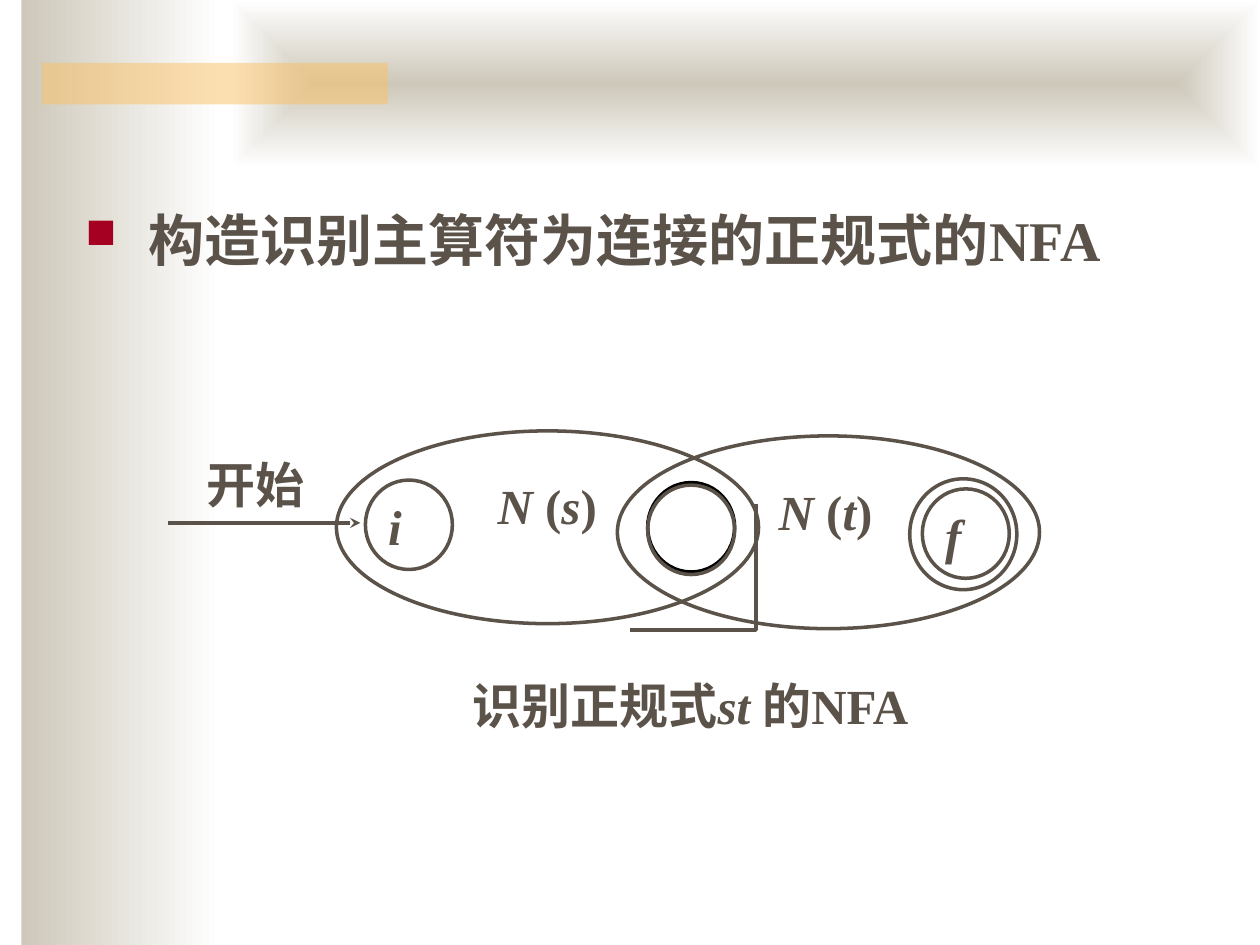
from dataclasses import dataclass

from lxml import etree
from pptx import Presentation
from pptx.dml.color import RGBColor
from pptx.enum.dml import MSO_FILL
from pptx.enum.shapes import MSO_CONNECTOR, MSO_SHAPE
from pptx.enum.text import MSO_ANCHOR, PP_ALIGN as AL
from pptx.oxml import parse_xml
from pptx.oxml.ns import nsdecls, qn
from pptx.util import Inches, Pt


@dataclass(frozen=True)
class Theme:
    ink: str = "5B5249"
    black: str = "000000"
    sand: str = "CEC8BA"
    white: str = "FFFFFF"
    accent: str = "FAC164"
    bullet: str = "A50021"
    latin: str = "Times New Roman"
    cjk: str = "Noto Sans CJK SC"
    title: int = 32
    label: int = 28
    line: float = 2


def rgb(value):
    return RGBColor.from_string(value)


def bezier(start, segments, steps=10):
    """Points along a chain of cubic curves."""
    points = [start]
    for c1, c2, end in segments:
        p0 = points[-1]
        for i in range(1, steps + 1):
            t = i / steps
            u = 1 - t
            points.append(tuple(
                u**3 * a + 3 * u * u * t * b + 3 * u * t * t * c + t**3 * d
                for a, b, c, d in zip(p0, c1, c2, end)))
    return points


class SlideBuilder:
    def __init__(self, slide, theme):
        self.s = slide
        self.th = theme

    def _outline(self, sp, color=None):
        sp.line.color.rgb = rgb(color or self.th.ink)
        sp.line.width = Pt(self.th.line)

    def _shape(self, kind, box):
        sp = self.s.shapes.add_shape(kind, *map(Inches, box))
        sp.shadow.inherit = False
        return sp

    def band(self, box, color=None, alpha=50, centred=False):
        """Borderless bar: see-through colour, or sand fading to white."""
        sp = self._shape(MSO_SHAPE.RECTANGLE, box)
        sp.line.fill.background()
        if color:
            sp.fill.solid()
            sp.fill.fore_color.rgb = rgb(color)
            clr = sp.fill._xPr.find(qn("a:solidFill"))[0]
            etree.SubElement(clr, qn("a:alpha"), val=str(alpha * 1000))
            return
        sp.fill.gradient()
        sp.fill.gradient_angle = 0
        stops = zip(sp.fill.gradient_stops, (self.th.sand, self.th.white))
        for pos, (stop, c) in enumerate(stops):
            stop.color.rgb, stop.position = rgb(c), pos
        if centred:
            lin = sp.fill._xPr.find(qn("a:gradFill")).find(qn("a:lin"))
            lin.getparent().replace(lin, parse_xml(
                f'<a:path {nsdecls("a")} path="rect"><a:fillToRect '
                'l="50000" t="50000" r="50000" b="50000"/></a:path>'))

    def _write(self, tf, runs, size, align, insets):
        tf.word_wrap = True
        tf.vertical_anchor = MSO_ANCHOR.TOP
        sides = ("left", "top", "right", "bottom")
        for side, inset in zip(sides, insets):
            setattr(tf, f"margin_{side}", Inches(inset))
        p = tf.paragraphs[0]
        p.alignment = align
        for text, italic in runs:
            r = p.add_run()
            r.text = text
            style = {"size": Pt(size), "bold": True, "italic": italic,
                     "name": self.th.latin}
            for key, value in style.items():
                setattr(r.font, key, value)
            r.font.color.rgb = rgb(self.th.ink)
            latin = r.font._element.find(qn("a:latin"))
            latin.addnext(parse_xml(
                f'<a:ea {nsdecls("a")} typeface="{self.th.cjk}"/>'))
        return p

    def text(self, box, runs, size=None, align=AL.LEFT,
             insets=(0.06, 0.03, 0.06, 0.03)):
        tb = self.s.shapes.add_textbox(*map(Inches, box))
        return self._write(tb.text_frame, runs, size or self.th.label,
                           align, insets)

    def bullet(self, box, runs):
        p = self.text(box, runs, self.th.title, insets=(0.1, 0.05, 0.1, 0.05))
        pPr = p._p.get_or_add_pPr()
        pPr.set("marL", str(Inches(0.5)))
        pPr.set("indent", str(-Inches(0.5)))
        for xml in (f'<a:buClr {{}}><a:srgbClr val="{self.th.bullet}"/></a:buClr>',
                    '<a:buSzPct {} val="75000"/>',
                    '<a:buChar {} char="■"/>'):
            pPr.append(parse_xml(xml.format(nsdecls("a"))))

    def ellipse(self, box, color=None, letter=None):
        sp = self._shape(MSO_SHAPE.OVAL, box)
        sp.fill.background()
        self._outline(sp, color)
        if letter:
            self._write(sp.text_frame, [(letter, True)], self.th.label,
                        AL.LEFT, (0.08, 0.03, 0.02, 0.02))

    def curve(self, points):
        scale = Inches(1)
        fb = self.s.shapes.build_freeform(*points[0], scale=scale)
        fb.add_line_segments(points[1:], close=False)
        sp = fb.convert_to_shape()
        sp.shadow.inherit = False
        sp.fill.background()
        self._outline(sp)

    def arrow(self, x1, y1, x2, y2):
        cn = self.s.shapes.add_connector(
            MSO_CONNECTOR.STRAIGHT, *map(Inches, (x1, y1, x2, y2)))
        self._outline(cn)
        etree.SubElement(cn.line._get_or_add_ln(), qn("a:tailEnd"), type="stealth")
        etree.SubElement(cn._element.spPr, qn("a:effectLst"))


def main():
    prs = Presentation()
    prs.slide_width, prs.slide_height = Inches(10), Inches(7.5)
    th = Theme()
    b = SlideBuilder(prs.slides.add_slide(prs.slide_layouts[6]), th)

    # Background bands
    b.band((0.17, 0, 1.58, 7.5))
    b.band((1.83, 0, 8.17, 1.33), centred=True)
    b.band((0.33, 0.5, 2.75, 0.33), color=th.accent)

    # Heading
    b.bullet((0.58, 1.58, 9, 1.33),
             [("构造识别主算符为连接的正规式的", False), ("NFA", False)])

    # The two automata, overlapping at the shared state
    machine, state = (3.35, 1.53), (0.69, 0.71)
    for name, corner, label in (("s", (2.67, 3.42), (3.86, 3.74)),
                                ("t", (4.9, 3.46), (6.09, 3.79))):
        b.ellipse((*corner, *machine))
        b.text((*label, 1.16, 0.85),
               [("N ", True), ("(", False), (name, True), (")", False)],
               align=AL.JUSTIFY, insets=(0.09, 0.03, 0.1, 0.05))

    # Start, shared and accepting states
    b.ellipse((2.9, 3.81, *state), letter="i")
    b.ellipse((5.14, 3.83, *state), color=th.black)
    b.ellipse((5.14, 3.85, *state))
    b.ellipse((7.22, 3.8, 0.85, 0.88))
    b.ellipse((7.32, 3.88, *state), letter="f")

    # Emphasised edge of the overlap
    b.curve(bezier((5.56, 3.66), [
        ((5.62, 3.72), (5.9, 3.87), (5.97, 3.99)),
        ((6.04, 4.11), (6.03, 4.26), (5.99, 4.37)),
        ((5.96, 4.47), (5.85, 4.55), (5.75, 4.61)),
        ((5.65, 4.68), (5.45, 4.74), (5.39, 4.76))]))

    # Start arrow and caption
    b.text((1.58, 3.58, 1.12, 0.67), [("开始", False)], align=AL.JUSTIFY)
    b.arrow(1.33, 4.15, 2.86, 4.15)
    b.text((2.92, 5.33, 5.12, 0.6),
           [("识别正规式", False), ("st ", True), ("的NFA", False)],
           align=AL.CENTER)

    prs.save("out.pptx")


if __name__ == "__main__":
    main()
